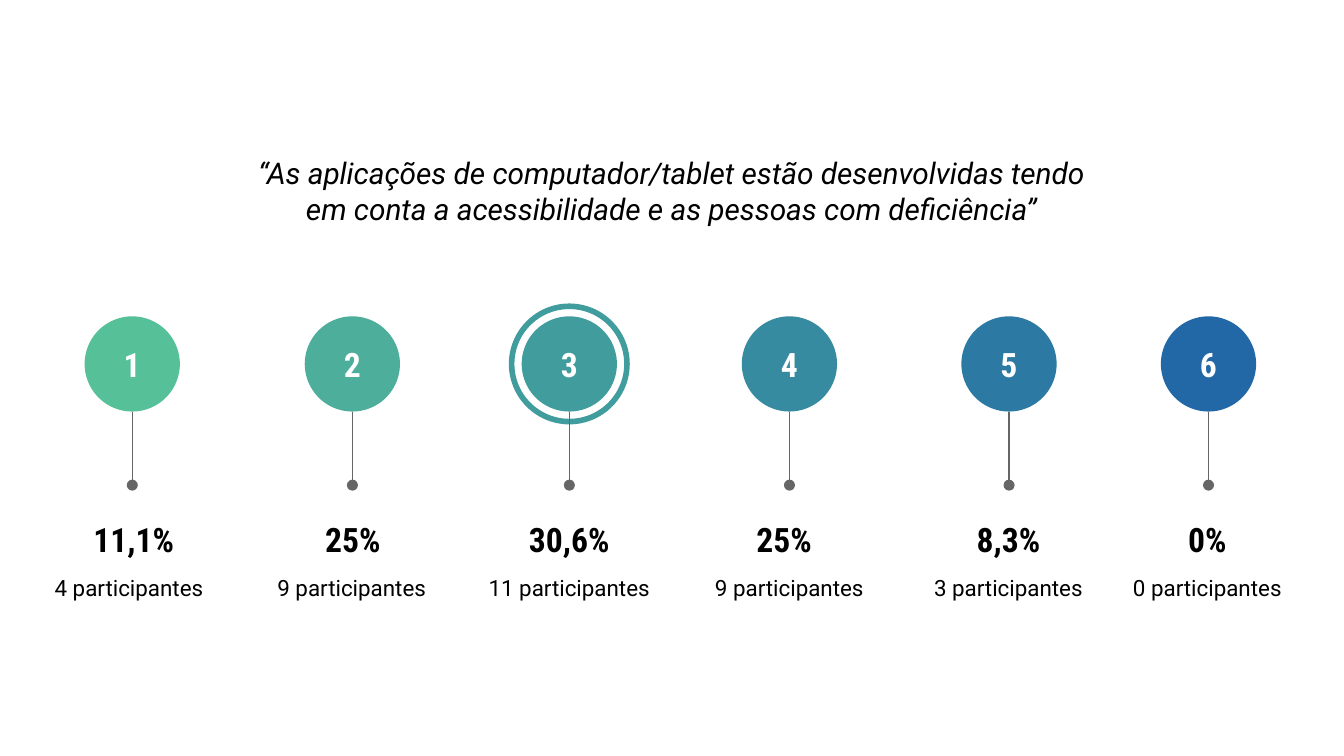
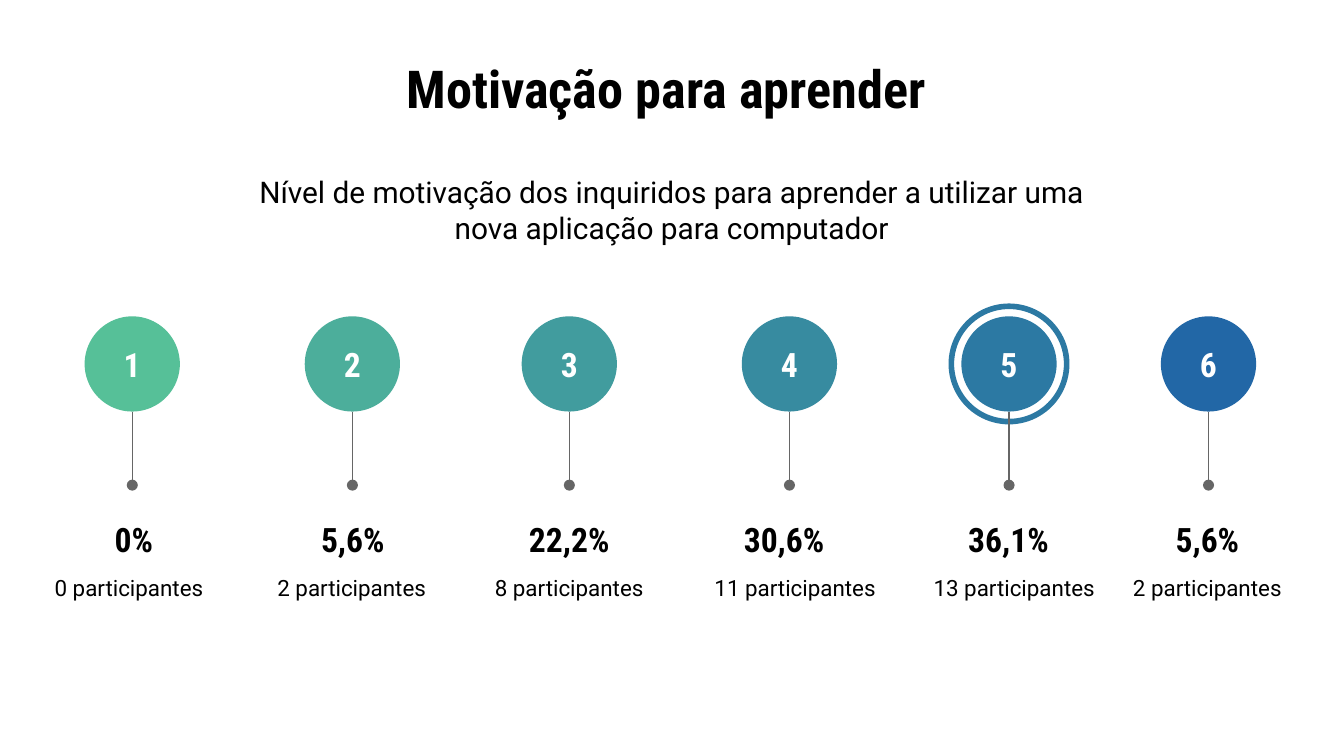
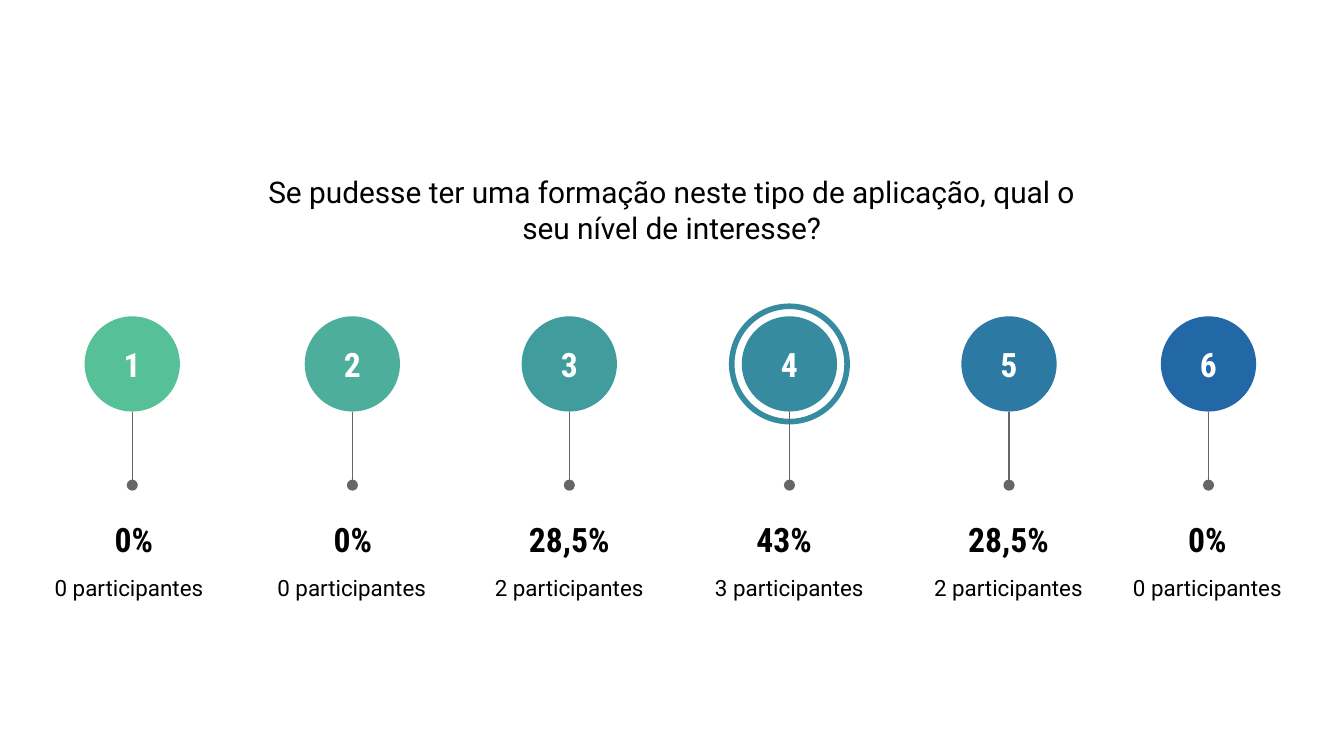
from lxml import etree
from pptx import Presentation
from pptx.dml.color import RGBColor
from pptx.enum.shapes import MSO_CONNECTOR, MSO_SHAPE
from pptx.enum.text import MSO_ANCHOR, MSO_AUTO_SIZE, PP_ALIGN
from pptx.oxml.ns import qn
from pptx.util import Cm, Pt

OVAL = MSO_SHAPE.OVAL
STRAIGHT = MSO_CONNECTOR.STRAIGHT
MIDDLE = MSO_ANCHOR.MIDDLE
CENTER = PP_ALIGN.CENTER
NO_AUTOFIT = MSO_AUTO_SIZE.NONE

# Shared style
BODY_FONT = "Roboto"
BOLD_FONT = "Roboto Condensed"
BLACK, WHITE, GREY = "000000", "FFFFFF", "666666"

# Shared geometry, in cm
CIRCLE, RING = 1.8, 2.18
CIRCLE_MIDDLE = 6.88
STEM_TOP, STEM_END = 7.78, 9.17
LABEL_WIDTH, WIDE_LABEL_WIDTH = 3.94, 4.14

# Answer scale: colour, then centres of the circle, percentage and count
LEVELS = [
    ("56C098", 2.5, 2.53, 2.44),
    ("4CAE9B", 6.66, 6.67, 6.65),
    ("419C9E", 10.76, 10.76, 10.76),
    ("378BA0", 14.92, 14.82, 14.92),
    ("2C79A3", 19.07, 19.06, 19.06),
    ("2267A6", 22.84, 22.82, 22.82),
]

# wide_shift moves the two-digit counts to the right
QUESTIONS = [
    {"heading": None, "top": 2.18, "italic": True, "highlight": 3, "wide_shift": 0,
     "question": "“As aplicações de computador/tablet estão desenvolvidas tendo "
                 "em conta a acessibilidade e as pessoas com deficiência”",
     "percents": ["11,1%", "25%", "30,6%", "25%", "8,3%", "0%"],
     "counts": [4, 9, 11, 9, 3, 0]},
    {"heading": "Motivação para aprender ", "top": 2.54, "italic": False,
     "highlight": 5, "wide_shift": 0.11,
     "question": "Nível de motivação dos inquiridos para aprender a utilizar uma "
                 "nova aplicação para computador",
     "percents": ["0%", "5,6%", "22,2%", "30,6%", "36,1%", "5,6%"],
     "counts": [0, 2, 8, 11, 13, 2]},
    {"heading": None, "top": 2.54, "italic": False, "highlight": 4, "wide_shift": 0,
     "question": "Se pudesse ter uma formação neste tipo de aplicação, qual o "
                 "seu nível de interesse?",
     "percents": ["0%", "0%", "28,5%", "43%", "28,5%", "0%"],
     "counts": [0, 0, 2, 3, 2, 0]},
]


def rgb(code):
    return RGBColor.from_string(code)


def write(shape, text, size, font, color=BLACK, bold=False, italic=False):
    frame = shape.text_frame
    frame.word_wrap = True
    frame.auto_size = NO_AUTOFIT
    frame.vertical_anchor = MIDDLE
    frame.margin_left = frame.margin_right = Cm(0.25)
    frame.margin_top = frame.margin_bottom = Cm(0.25)
    paragraph = frame.paragraphs[0]
    paragraph.alignment = CENTER
    run = paragraph.add_run()
    run.text = text
    run.font.size = Pt(size)
    run.font.name = font
    run.font.bold = bold
    run.font.italic = italic
    run.font.color.rgb = rgb(color)


prs = Presentation()
prs.slide_width, prs.slide_height = Cm(25.4), Cm(14.29)
title_only = prs.slide_layouts[5]

for item in QUESTIONS:
    slide = prs.slides.add_slide(title_only)

    # Question
    question = slide.shapes.title
    question.left, question.top = Cm(4.39), Cm(item["top"])
    question.width, question.height = Cm(16.61), Cm(2.84)
    write(question, item["question"], 16, BODY_FONT, italic=item["italic"])

    # Section heading
    if item["heading"]:
        heading = slide.shapes.add_textbox(Cm(1.27), Cm(1.14), Cm(22.86), Cm(1.04))
        write(heading, item["heading"], 28, BOLD_FONT, bold=True)

    # Ring around the most frequent answer
    ring_color, ring_x = LEVELS[item["highlight"] - 1][:2]
    ring = slide.shapes.add_shape(OVAL, Cm(ring_x - RING / 2),
                                  Cm(CIRCLE_MIDDLE - RING / 2), Cm(RING), Cm(RING))
    ring.shadow.inherit = False
    ring.fill.background()
    ring.line.color.rgb = rgb(ring_color)
    ring.line.width = Pt(3)

    answers = zip(LEVELS, item["percents"], item["counts"])
    for level, (place, percent_text, number) in enumerate(answers, start=1):
        color, circle_x, percent_x, count_x = place
        answer = slide.shapes.add_group_shape().shapes

        # Percentage
        percent = answer.add_textbox(Cm(percent_x - LABEL_WIDTH / 2), Cm(9.73),
                                     Cm(LABEL_WIDTH), Cm(0.91))
        write(percent, percent_text, 18, BOLD_FONT, bold=True)

        # Number of participants
        count_width = LABEL_WIDTH
        if number > 9:
            count_width = WIDE_LABEL_WIDTH
            count_x += item["wide_shift"]
        count = answer.add_textbox(Cm(count_x - count_width / 2), Cm(10.11),
                                   Cm(count_width), Cm(2.01))
        write(count, f"{number} participantes", 12, BODY_FONT)

        # Numbered circle
        circle = answer.add_shape(OVAL, Cm(circle_x - CIRCLE / 2),
                                  Cm(CIRCLE_MIDDLE - CIRCLE / 2), Cm(CIRCLE), Cm(CIRCLE))
        circle.shadow.inherit = False
        circle.fill.solid()
        circle.fill.fore_color.rgb = rgb(color)
        circle.line.fill.background()
        write(circle, str(level), 18, BOLD_FONT, WHITE, bold=True)

        # Stem ending in a dot
        stem = slide.shapes.add_connector(STRAIGHT, Cm(circle_x), Cm(STEM_TOP),
                                          Cm(circle_x), Cm(STEM_END))
        stem.line.color.rgb = rgb(GREY)
        stem.line.width = Pt(0.75)
        etree.SubElement(stem.line._get_or_add_ln(), qn("a:tailEnd"), type="oval")
        etree.SubElement(stem._element.spPr, qn("a:effectLst"))

prs.save("out.pptx")
